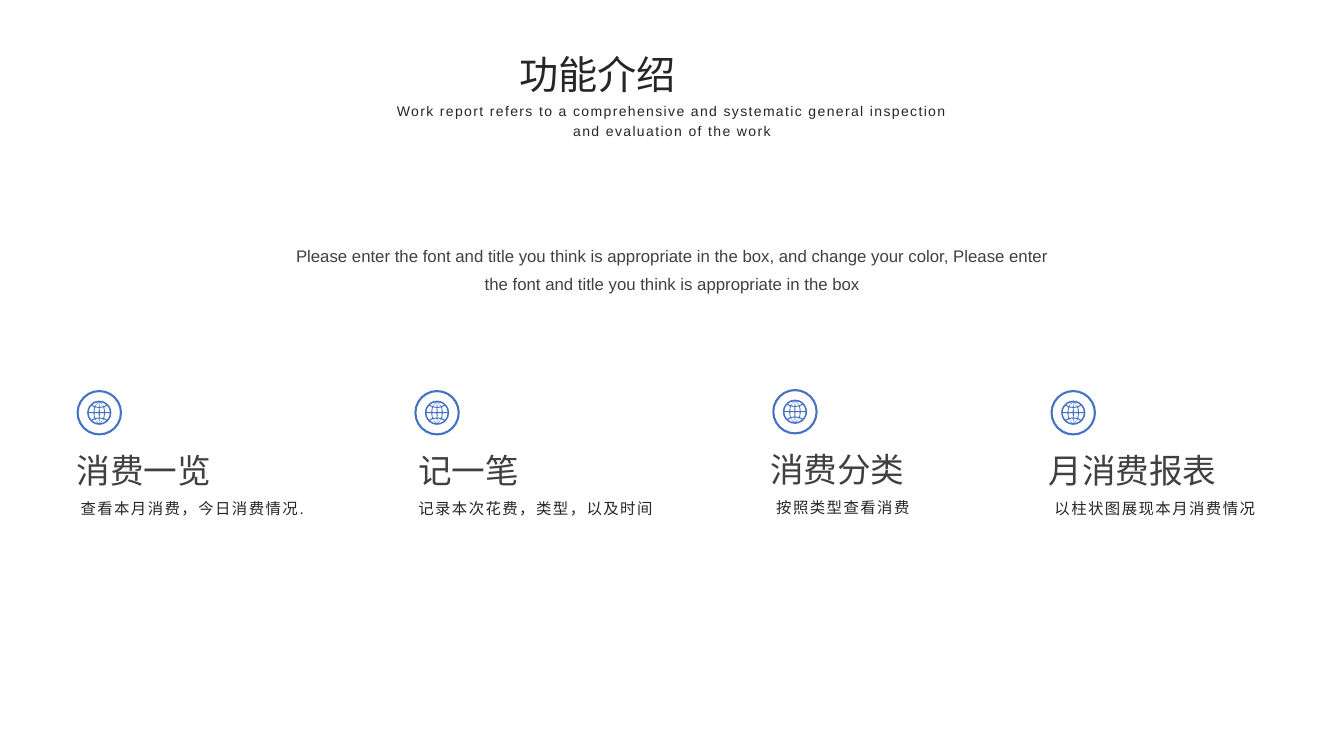
from dataclasses import dataclass
from math import cos, radians, sin

from pptx import Presentation
from pptx.dml.color import RGBColor
from pptx.enum.shapes import MSO_SHAPE
from pptx.enum.text import MSO_AUTO_SIZE as AutoSize, PP_ALIGN as Align
from pptx.util import Inches, Pt


@dataclass(frozen=True)
class Theme:
    font: str = "Arial"
    accent: RGBColor = RGBColor(0x44, 0x72, 0xC4)
    paper: RGBColor = RGBColor(0xFF, 0xFF, 0xFF)
    dark: RGBColor = RGBColor(0x26, 0x26, 0x26)
    soft: RGBColor = RGBColor(0x40, 0x40, 0x40)
    title: int = 28
    heading: int = 24
    intro: int = 12
    note: int = 11
    subtitle: int = 10
    ring: float = 1.5


THEME = Theme()
BADGE = 0.43
GLOBE_RADIUS = 0.12
GRID_RADIUS = 0.105

FEATURES = [
    ("消费一览", "查看本月消费，今日消费情况.", 0.66, 3.88, 0.11, 0.04),
    ("记一笔", "记录本次花费，类型，以及时间", 4.05, 3.88, 0.07, 0),
    ("消费分类", "按照类型查看消费", 7.54, 3.87, 0.13, 0.06),
    ("月消费报表", "以柱状图展现本月消费情况", 10.3, 3.88, 0.13, 0.06),
]


def add_text(slide, box, words, size, color, align, leading=None, tracking=0):
    frame = slide.shapes.add_textbox(*map(Inches, box)).text_frame
    frame.word_wrap = True
    frame.auto_size = AutoSize.SHAPE_TO_FIT_TEXT
    paragraph = frame.paragraphs[0]
    paragraph.alignment = align
    if leading:
        paragraph.line_spacing = Pt(leading)
    run = paragraph.add_run()
    run.text = words
    run.font.name = THEME.font
    run.font.size = Pt(size)
    run.font.color.rgb = color
    if tracking:
        run._r.get_or_add_rPr().set("spc", str(tracking * 100))


def sphere_point(radius, east, latitude):
    angle = radians(latitude)
    return radius * east * cos(angle), radius * sin(angle)


def globe_outlines():
    outlines = [[sphere_point(GLOBE_RADIUS, 1, a) for a in range(0, 360, 18)]]
    for west, east in ((0.05, 0.45), (0.55, 1)):
        west_split, east_split = (30 + 15 * u ** 2 for u in (west, east))
        equatorial = [(west, 3), (east, 3), (east, east_split / 2),
                      (east, east_split - 3), (west, west_split - 3)]
        polar = [(west, west_split + 3), (east, east_split + 3),
                 (east, (east_split + 90) / 2), (west, 88)]
        for cell in (equatorial, polar):
            corners = [sphere_point(GRID_RADIUS, *corner) for corner in cell]
            outlines += [[(sx * x, sy * y) for x, y in corners]
                         for sx in (-1, 1) for sy in (-1, 1)]
    return outlines


def add_badge(slide, left, top):
    badge = slide.shapes.add_group_shape()
    ring = badge.shapes.add_shape(
        MSO_SHAPE.OVAL, *map(Inches, (left, top, BADGE, BADGE)))
    ring.shadow.inherit = False
    ring.fill.solid()
    ring.fill.fore_color.rgb = THEME.paper
    ring.line.color.rgb = THEME.accent
    ring.line.width = Pt(THEME.ring)

    center_x, center_y = left + BADGE / 2, top + BADGE / 2
    rim, *cells = [[(Inches(center_x + x), Inches(center_y + y))
                    for x, y in outline] for outline in globe_outlines()]
    builder = badge.shapes.build_freeform(*rim[0])
    builder.add_line_segments(rim[1:], close=True)
    for cell in cells:
        builder.move_to(*cell[0])
        builder.add_line_segments(cell[1:], close=True)
    globe = builder.convert_to_shape()
    globe.shadow.inherit = False
    globe.fill.solid()
    globe.fill.fore_color.rgb = THEME.accent
    globe.line.fill.background()


def add_header(slide, left, top):
    add_text(slide, (left + 1.31, top, 3.24, 0.57), "功能介绍",
             THEME.title, THEME.dark, Align.JUSTIFY)
    add_text(slide, (left, top + 0.49, 5.85, 0.49),
             "Work report refers to a comprehensive and systematic general "
             "inspection and evaluation of the work",
             THEME.subtitle, THEME.dark, Align.CENTER, leading=14, tracking=1)


def add_intro(slide, left, top):
    add_text(slide, (left, top, 7.84, 0.64),
             "Please enter the font and title you think is appropriate in the "
             "box, and change your color, Please enter the font and title you "
             "think is appropriate in the box",
             THEME.intro, THEME.soft, Align.CENTER, leading=20)


def add_feature(slide, heading, note, left, top, badge_indent, note_indent):
    add_badge(slide, left + badge_indent, top)
    add_text(slide, (left, top + 0.53, 2.21, 0.5), heading,
             THEME.heading, THEME.soft, Align.JUSTIFY)
    add_text(slide, (left + note_indent, top + 0.98, 2.65, 0.3), note,
             THEME.note, THEME.dark, Align.JUSTIFY, leading=16, tracking=1)


def main():
    deck = Presentation()
    deck.slide_width = Inches(13.33)
    deck.slide_height = Inches(7.5)
    slide = deck.slides.add_slide(deck.slide_layouts[6])
    add_header(slide, 3.74, 0.45)
    add_intro(slide, 2.75, 2.31)
    for feature in FEATURES:
        add_feature(slide, *feature)
    deck.save("out.pptx")


if __name__ == "__main__":
    main()
